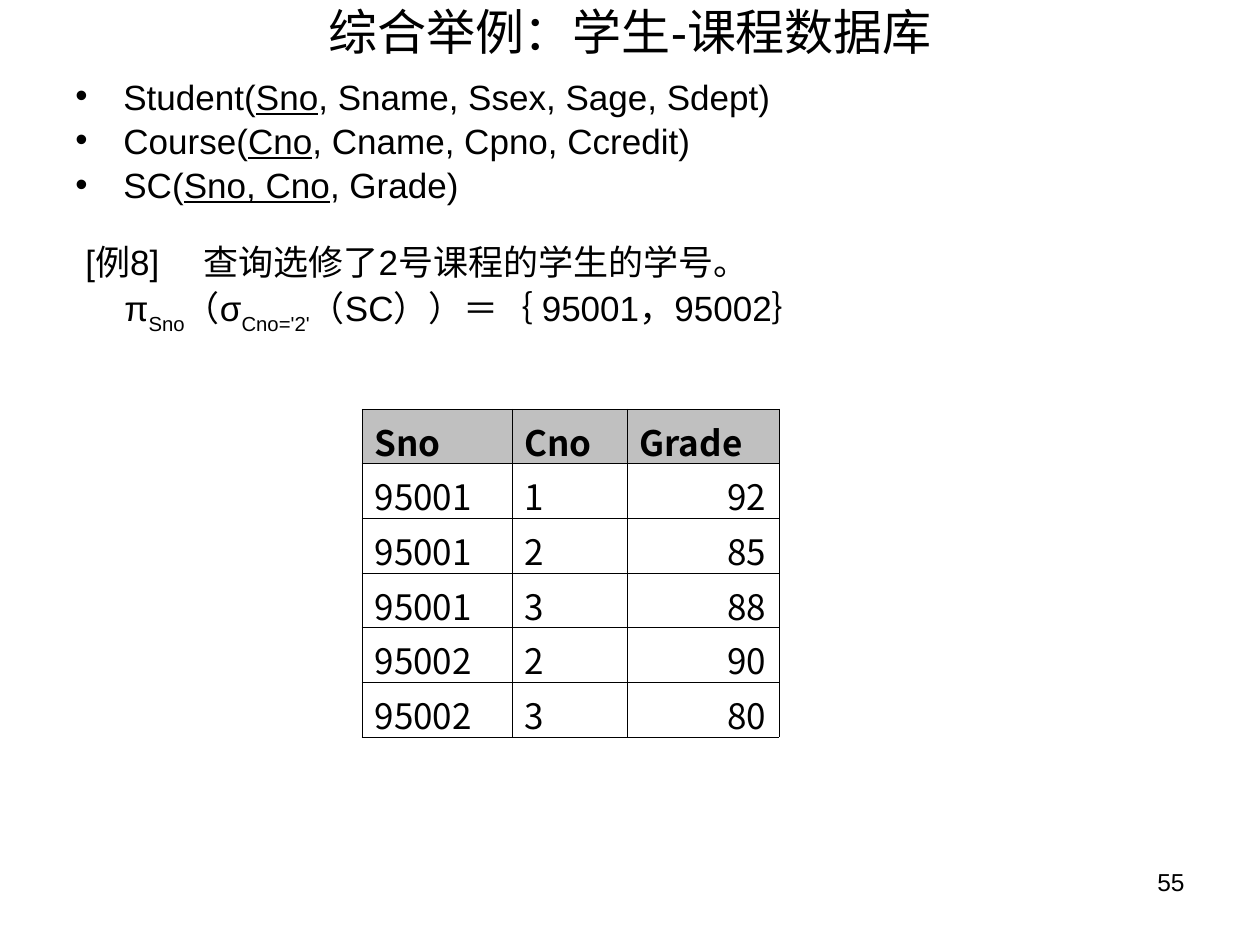
from lxml import etree
from pptx import Presentation
from pptx.dml.color import RGBColor
from pptx.enum.text import MSO_ANCHOR, PP_ALIGN
from pptx.oxml.ns import qn
from pptx.util import Pt

PX = 914400 / 126
BLACK, WHITE, GRAY = "000000", "FFFFFF", "C0C0C0"
SANS, CJK = "Arial", "Noto Sans CJK SC"
LEFT, CENTER, RIGHT = PP_ALIGN.LEFT, PP_ALIGN.CENTER, PP_ALIGN.RIGHT
TOP, MIDDLE = MSO_ANCHOR.TOP, MSO_ANCHOR.MIDDLE


def px(n):
    return round(n * PX)


def style(runs, size, font=SANS, bold=False):
    for run in runs:
        run.font.size = Pt(size)
        run.font.name = font
        run.font.bold = bold
        run.font.color.rgb = RGBColor.from_string(BLACK)


prs = Presentation()
prs.slide_width, prs.slide_height = px(1260), px(945)
slide = prs.slides.add_slide(prs.slide_layouts[6])

# Title and page number
for text, box, size, align, anchor in [
    ("综合举例：学生-课程数据库", (63, 10, 1134, 42), 28, CENTER, MIDDLE),
    ("55", (903, 861, 294, 66), 14, RIGHT, TOP),
]:
    frame = slide.shapes.add_textbox(*map(px, box)).text_frame
    frame.word_wrap = True
    frame.vertical_anchor = anchor
    frame.text = text
    frame.paragraphs[0].alignment = align
    style(frame.paragraphs[0].runs, size)

# Relation schemas, primary keys underlined
schemas = slide.shapes.add_textbox(px(63), px(77), px(1134), px(147)).text_frame
schemas.word_wrap = True
for i, (relation, key, attributes) in enumerate([
    ("Student(", "Sno", ", Sname, Ssex, Sage, Sdept)"),
    ("Course(", "Cno", ", Cname, Cpno, Ccredit)"),
    ("SC(", "Sno, Cno", ", Grade)"),
]):
    schema = schemas.add_paragraph() if i else schemas.paragraphs[0]
    schema.line_spacing = 0.8
    schema.space_before = Pt(6 if i else 0)
    props = schema._p.get_or_add_pPr()
    props.set("marL", str(px(48)))
    props.set("indent", str(px(-48)))
    etree.SubElement(props, qn("a:buFont"), typeface=SANS)
    etree.SubElement(props, qn("a:buChar"), char="•")
    for part in (relation, key, attributes):
        schema.add_run().text = part
    style(schema.runs, 20)
    schema.runs[1].font.underline = True

# Example query and its relational algebra
example = slide.shapes.add_textbox(px(73), px(242), px(1134), px(110)).text_frame
example.word_wrap = True
question = example.paragraphs[0]
question.line_spacing = 0.8
tabs = etree.SubElement(question._p.get_or_add_pPr(), qn("a:tabLst"))
etree.SubElement(tabs, qn("a:tab"), pos=str(px(118)), algn="l")
question.text = "[例8]\t查询选修了2号课程的学生的学号。"
style(question.runs, 20)

algebra = example.add_paragraph()
algebra.line_spacing = 0.8
algebra.space_before = Pt(4.5)
algebra._p.get_or_add_pPr().set("marL", str(px(39)))
for part in ("π", "Sno", "（σ", "Cno='2'", "（SC））＝｛ 95001，95002｝"):
    algebra.add_run().text = part
style(algebra.runs, 20)
for subscript in algebra.runs[1::2]:
    subscript.font._element.set("baseline", "-30000")

# SC table
records = [
    ("Sno", "Cno", "Grade"),
    ("95001", "1", "92"),
    ("95001", "2", "85"),
    ("95001", "3", "88"),
    ("95002", "2", "90"),
    ("95002", "3", "80"),
]
widths = (150, 115, 152)
row_height = 54
grades = slide.shapes.add_table(
    len(records), len(widths), px(362), px(409),
    px(sum(widths)), px(row_height * len(records))).table
for column, width in zip(grades.columns, widths):
    column.width = px(width)
for r, record in enumerate(records):
    grades.rows[r].height = px(row_height)
    header = r == 0
    for c, value in enumerate(record):
        cell = grades.cell(r, c)
        cell.text = value
        cell.vertical_anchor = MIDDLE if header else TOP
        entry = cell.text_frame.paragraphs[0]
        entry.alignment = RIGHT if c == 2 and not header else LEFT
        style(entry.runs, 20, CJK, header)
        props = cell._tc.get_or_add_tcPr()
        for side in ("a:lnL", "a:lnR", "a:lnT", "a:lnB"):
            border = etree.SubElement(props, qn(side), w=str(Pt(0.34)))
            fill = etree.SubElement(border, qn("a:solidFill"))
            etree.SubElement(fill, qn("a:srgbClr"), val=BLACK)
        cell.fill.solid()
        cell.fill.fore_color.rgb = RGBColor.from_string(GRAY if header else WHITE)

prs.save("out.pptx")
